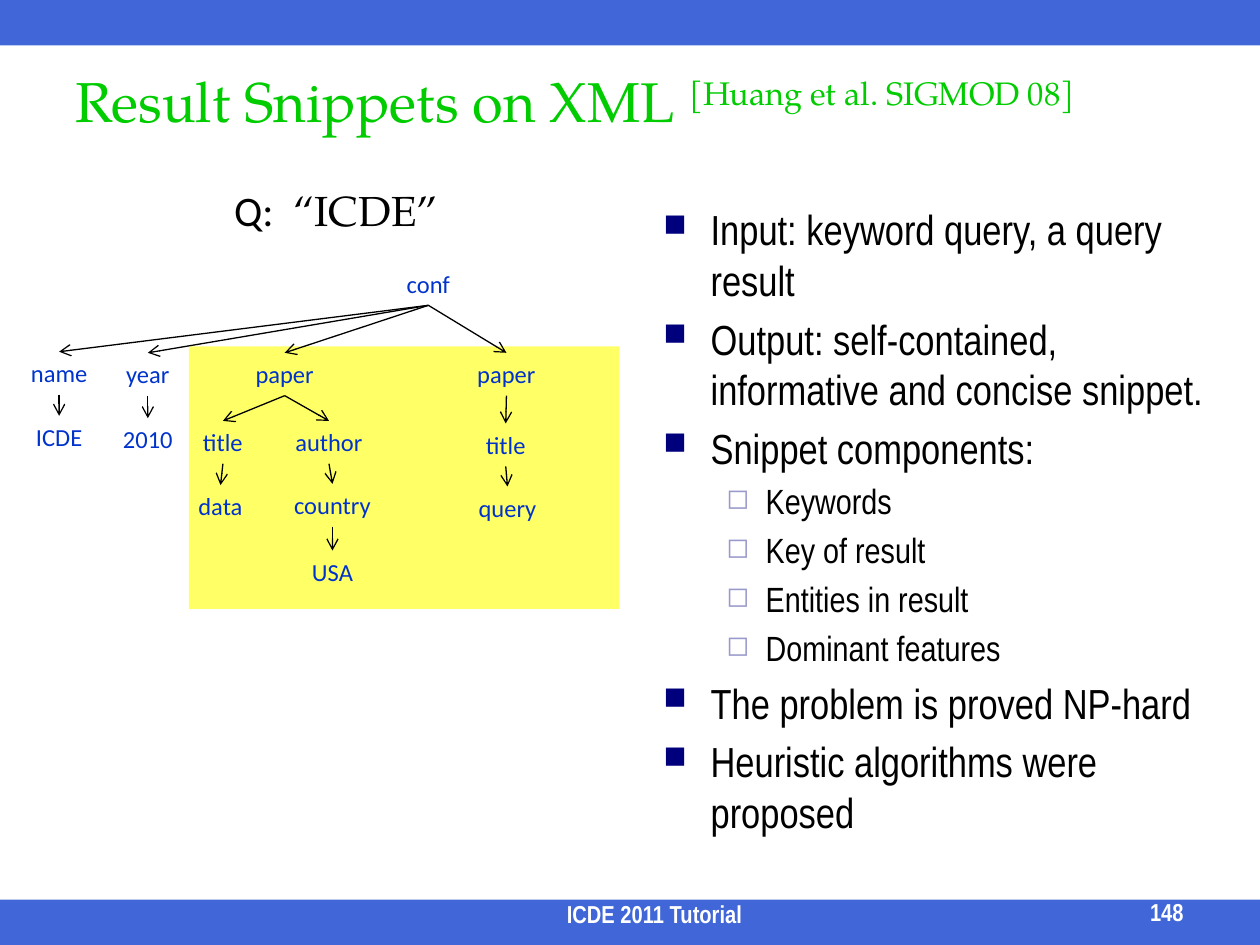
"""Build the slide on result snippets for XML search."""
from lxml.etree import SubElement as Sub
from pptx import Presentation
from pptx.dml.color import RGBColor as Rgb
from pptx.enum.shapes import MSO_CONNECTOR as Conn, MSO_SHAPE as Form
from pptx.enum.text import MSO_ANCHOR as Anchor, PP_ALIGN as Align
from pptx.oxml.ns import qn
from pptx.util import Pt

HUE = {"bar": "0033CC", "mark": "FFFF66", "node": "0033CC", "head": "00CC00",
       "text": "000000", "foot": "FFFFFF", "main": "00007D", "sub": "9999CC"}
SANS, NARROW, SERIF = "Calibri", "Arial Narrow", "TeX Gyre Pagella"

deck = Presentation()
deck.slide_width, deck.slide_height = Pt(720), Pt(540)
slide = deck.slides.add_slide(deck.slide_layouts[6])
shapes = slide.shapes


def style(para, face, size, hue, bold=False):
    font = para.font
    font.name, font.size, font.bold = face, Pt(size), bold
    font.color.rgb = Rgb.from_string(HUE[hue])


def write(box, words, face, size, hue, align=Align.CENTER, anchor=Anchor.TOP, bold=False):
    frame = shapes.add_textbox(*[Pt(v) for v in box]).text_frame
    frame.word_wrap, frame.vertical_anchor = True, anchor
    para = frame.paragraphs[0]
    para.alignment = align
    for word in words:
        para.add_run().text = word
    style(para, face, size, hue, bold)
    return para


for box, hue, alpha in [((0, 514, 720, 26), "bar", 75), ((0, 0, 720, 26), "bar", 75),
                        ((108, 198, 246, 150), "mark", 100)]:
    rect = shapes.add_shape(Form.RECTANGLE, *[Pt(v) for v in box])
    rect.shadow.inherit = False
    rect.line.fill.background()
    rect.fill.solid()
    rect.fill.fore_color.rgb = Rgb.from_string(HUE[hue])
    if alpha < 100:
        tone = rect.fill._xPr.find(".//" + qn("a:srgbClr"))
        Sub(tone, qn("a:alpha"), val=str(alpha * 1000))

points = [
    (0, "Input: keyword query, a query result"),
    (0, "Output: self-contained, informative and concise snippet."),
    (0, "Snippet components:"),
    (1, "Keywords"),
    (1, "Key of result"),
    (1, "Entities in result"),
    (1, "Dominant features"),
    (0, "The problem is proved NP-hard"),
    (0, "Heuristic algorithms were proposed"),
]
looks = [(24, 27, 27, "main", 75, "■"), (20, 58.5, 22.5, "sub", 80, "◻")]
body = shapes.add_textbox(Pt(372), Pt(113), Pt(340), Pt(409)).text_frame
body.word_wrap = True
for i, (level, words) in enumerate(points):
    size, left, hang, hue, scale, mark = looks[level]
    para = body.add_paragraph() if i else body.paragraphs[0]
    para.text, para.level = words, level
    para.space_before = Pt(size * 0.2 if i else 0)
    style(para, NARROW, size, "text")
    props = para._p.get_or_add_pPr()
    props.set("marL", str(Pt(left)))
    props.set("indent", str(-Pt(hang)))
    tint = Sub(props, qn("a:buClr"))
    Sub(tint, qn("a:srgbClr"), val=HUE[hue])
    Sub(props, qn("a:buSzPct"), val=str(scale * 1000))
    Sub(props, qn("a:buChar"), char=mark)
    props.append(props.find(qn("a:defRPr")))

TALL = 24.5
nodes = [
    ("conf", 244.8, 150, 40, None),
    ("name", 33.8, 201, 48, 0),
    ("year", 84.5, 201.6, 48, 0),
    ("paper", 162.7, 201.6, 50, 0),
    ("paper", 289.4, 201.6, 50, 0),
    ("ICDE", 33.8, 237.6, 67, 1),
    ("2010", 84.5, 239, 45, 2),
    ("title", 127.4, 240.5, 50, 3),
    ("author", 188, 240.5, 56, 3),
    ("title", 289, 242, 41, 4),
    ("data", 126, 277.2, 72, 7),
    ("country", 190, 276.5, 64, 8),
    ("query", 290, 278, 68, 9),
    ("USA", 190, 314.6, 60, 11),
]
for word, mid, top, wide, root in nodes:
    write((mid - wide / 2, top, wide, TALL), [word], SANS, 14, "node")
    if root is None:
        continue
    start, high = nodes[root][1:3]
    edge = shapes.add_connector(Conn.STRAIGHT, Pt(start), Pt(high + TALL), Pt(mid), Pt(top))
    edge.line.width = Pt(0.75)
    edge.line.color.rgb = Rgb.from_string(HUE["text"])
    Sub(edge.line._get_or_add_ln(), qn("a:tailEnd"), type="arrow")
    Sub(edge._element.spPr, qn("a:effectLst"))

title = write((36, 14, 648, 86), ["Result Snippets on XML ", "[Huang et al. SIGMOD 08]"],
              SERIF, 32, "head", Align.LEFT, Anchor.MIDDLE)
title.runs[1].font._element.set("baseline", "30000")
query = write((66, 102, 252, 36), ["Q: ", " “ICDE”"], SANS, 24, "text")
query.runs[1].font.name = SERIF
write((167, 517, 414, 17), ["ICDE 2011 Tutorial"], NARROW, 14, "foot",
      anchor=Anchor.BOTTOM, bold=True)
write((592.5, 516, 91, 17), ["148"], NARROW, 14, "foot", Align.RIGHT, Anchor.BOTTOM, True)

deck.save("out.pptx")
